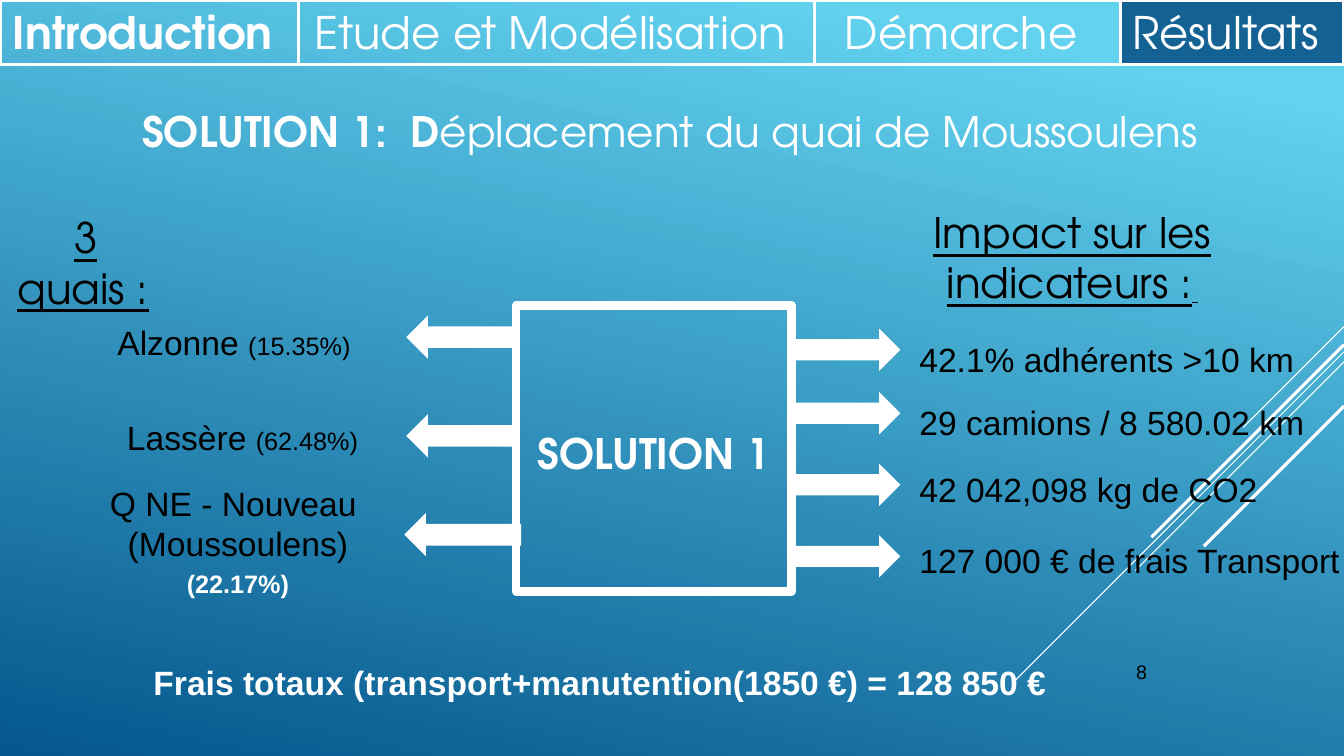
from itertools import accumulate

from lxml.etree import SubElement
from pptx import Presentation
from pptx.dml.color import RGBColor
from pptx.enum.shapes import MSO_CONNECTOR, MSO_SHAPE
from pptx.enum.text import MSO_ANCHOR, PP_ALIGN
from pptx.oxml.ns import qn
from pptx.util import Inches, Pt

COLOURS = {"white": "FFFFFF", "black": "000000", "sky": "62D2EF", "deep": "05578D", "active": "146194"}
TITLE_FONT = "TeX Gyre Adventor"
BODY_FONT = "Arial"
SPACED = {"line_spacing": 1.15}
BODY = {"line_spacing": 1.15, "space_after": Pt(10)}
CENTRED = {"alignment": PP_ALIGN.CENTER}
JUSTIFIED = {"alignment": PP_ALIGN.JUSTIFY}


def colour(name):
    """Return the named colour."""
    return RGBColor.from_string(COLOURS[name])


def apply(target, values):
    """Set each attribute of the target from a dict."""
    for name, value in values.items():
        setattr(target, name, value)


def run(text, size, font=BODY_FONT, tint="black", **extra):
    """Describe one run of text."""
    return text, tint, {"size": Pt(size), "name": font, **extra}


def write(shape, paragraphs, anchor=MSO_ANCHOR.TOP, inset=0.1):
    """Fill a shape with paragraphs, each a format dict and its runs."""
    frame = shape.text_frame
    apply(frame, {
        "word_wrap": True, "vertical_anchor": anchor,
        "margin_left": Inches(0.1), "margin_right": Inches(0.1),
        "margin_top": Inches(inset), "margin_bottom": Inches(inset),
    })
    for index, (layout, runs) in enumerate(paragraphs):
        paragraph = frame.add_paragraph() if index else frame.paragraphs[0]
        apply(paragraph, layout)
        for text, tint, style in runs:
            piece = paragraph.add_run()
            piece.text = text
            apply(piece.font, style)
            piece.font.color.rgb = colour(tint)


def add_text(slide, box, paragraphs, **options):
    """Add a wrapped text box."""
    write(slide.shapes.add_textbox(*map(Inches, box)), paragraphs, **options)


def add_block(slide, kind, box, fill=None, line_width=0):
    """Add a preset shape with an optional fill and white outline."""
    shape = slide.shapes.add_shape(kind, *map(Inches, box))
    shape.shadow.inherit = False
    if fill:
        shape.fill.solid()
        shape.fill.fore_color.rgb = colour(fill)
    else:
        shape.fill.background()
    if line_width:
        shape.line.color.rgb = colour("white")
        shape.line.width = Pt(line_width)
    else:
        shape.line.fill.background()
    return shape


def add_diagonal(slide, top, reach, width):
    """Draw a 45 degree line from the right edge down to the left."""
    ends = (13.33, top, 13.33 - reach, top + reach)
    line = slide.shapes.add_connector(MSO_CONNECTOR.STRAIGHT, *map(Inches, ends))
    line.line.color.rgb = colour("white")
    line.line.width = Pt(width)
    SubElement(line._element.spPr, qn("a:effectLst"))


def paint_background(slide):
    """Give the slide its blue gradient."""
    fill = slide.background.fill
    fill.gradient()
    fill.gradient_angle = 258
    for stop, position, name in zip(fill.gradient_stops, (0.1, 1), ("sky", "deep")):
        stop.position = position
        stop.color.rgb = colour(name)


def add_tabs(slide):
    """Add the row of section tabs."""
    names = ("Introduction ", "Etude et Modélisation ", "Démarche ", "Résultats ")
    widths = (2.96, 5.12, 3.03, 2.22)
    for name, width, left in zip(names, widths, accumulate(widths, initial=0)):
        fill = "active" if name == names[-1] else None
        tab = add_block(slide, MSO_SHAPE.RECTANGLE, (left, 0, width, 0.64), fill, 2.25)
        label = run(name, 32, TITLE_FONT, "white", bold=name == names[0])
        write(tab, [(CENTRED, [label])], inset=0.05)


def add_quays(slide):
    """Add the left column of quays."""
    heading = [run("3 quais :", 30, TITLE_FONT, underline=True), run(" ", 14, TITLE_FONT)]
    add_text(slide, (-0.05, 2, 1.8, 0.64), [(CENTRED, heading)])
    for left, top, width in ((4.03, 3.13, 1.08), (4.03, 4.11, 1.08), (4.01, 5.09, 1.16)):
        add_block(slide, MSO_SHAPE.LEFT_ARROW, (left, top, width, 0.43), "white")
    centred_body = {**CENTRED, **BODY}
    add_text(slide, (1.04, 3.03, 2.63, 0.64), [
        (centred_body, [run("Alzonne ", 24), run("(15.35%) ", 18), run(" ", 24)])])
    add_text(slide, (1.13, 3.98, 2.55, 0.64), [
        (centred_body, [run("Lassère ", 24), run("(62.48%)", 18)])])
    add_text(slide, (0.47, 4.69, 3.78, 1.24), [
        (CENTRED, [run("Q NE - Nouveau ", 24)]),
        (CENTRED, [run("(Moussoulens)", 24)]),
        (centred_body, [run("(22.17%)", 18, tint="white", bold=True)])])


def add_indicators(slide):
    """Add the right column of indicators."""
    heading = [run(text, size, TITLE_FONT, underline=True)
               for text, size in (("Impact sur les indicateurs :", 30), (" ", 14))]
    add_text(slide, (7.89, 1.95, 5.49, 0.64), [(CENTRED, heading)])
    indicators = (
        ("42.1% adhérents >10 km", 3.26, 3.2, 4.08, JUSTIFIED),
        ("29 camions / 8 580.02 km", 3.89, 3.83, 4.23, JUSTIFIED),
        ("42 042,098 kg de CO2", 4.6, 4.49, 4.08, JUSTIFIED),
        ("127 000 € de frais Transport", 5.31, 5.2, 4.53, {}),
    )
    for text, arrow_top, text_top, width, alignment in indicators:
        add_block(slide, MSO_SHAPE.RIGHT_ARROW, (7.85, arrow_top, 1.08, 0.42), "white")
        add_text(slide, (9.02, text_top, width, 0.64), [({**alignment, **BODY}, [run(text, 24)])])


def main():
    """Build and save the slide."""
    presentation = Presentation()
    presentation.slide_width, presentation.slide_height = Inches(13.33), Inches(7.5)
    slide = presentation.slides.add_slide(presentation.slide_layouts[6])
    paint_background(slide)
    for top, reach, width in ((3.24, 1, 0.75), (3.49, 3.26, 0.75), (3.59, 2.07, 0.75),
                              (3.42, 1.91, 2.25), (4.03, 1.39, 2.25)):
        add_diagonal(slide, top, reach, width)
    add_text(slide, (11.17, 6.1, 1.25, 0.73), [({}, [run("8", 14)])],
             anchor=MSO_ANCHOR.BOTTOM, inset=0.05)
    add_tabs(slide)

    centred_title = {**CENTRED, **SPACED}
    solution = add_block(slide, MSO_SHAPE.RECTANGLE, (5.12, 3.03, 2.73, 2.84), line_width=6)
    write(solution, [(centred_title, [run("SOLUTION 1", 30, TITLE_FONT, "white", bold=True)])],
          anchor=MSO_ANCHOR.MIDDLE)
    title = [run("SOLUTION 1:  D", 30, TITLE_FONT, "white", bold=True),
             run("éplacement du quai de Moussoulens", 30, TITLE_FONT, "white")]
    add_text(slide, (0.29, 0.98, 12.71, 0.56), [(centred_title, title)], anchor=MSO_ANCHOR.MIDDLE)

    add_quays(slide)
    add_indicators(slide)
    total = run("Frais totaux (transport+manutention(1850 €) = 128 850 € ", 24, tint="white", bold=True)
    add_text(slide, (0.2, 6.41, 11.59, 0.73), [({**CENTRED, **BODY}, [total])])
    presentation.save("out.pptx")


if __name__ == "__main__":
    main()
